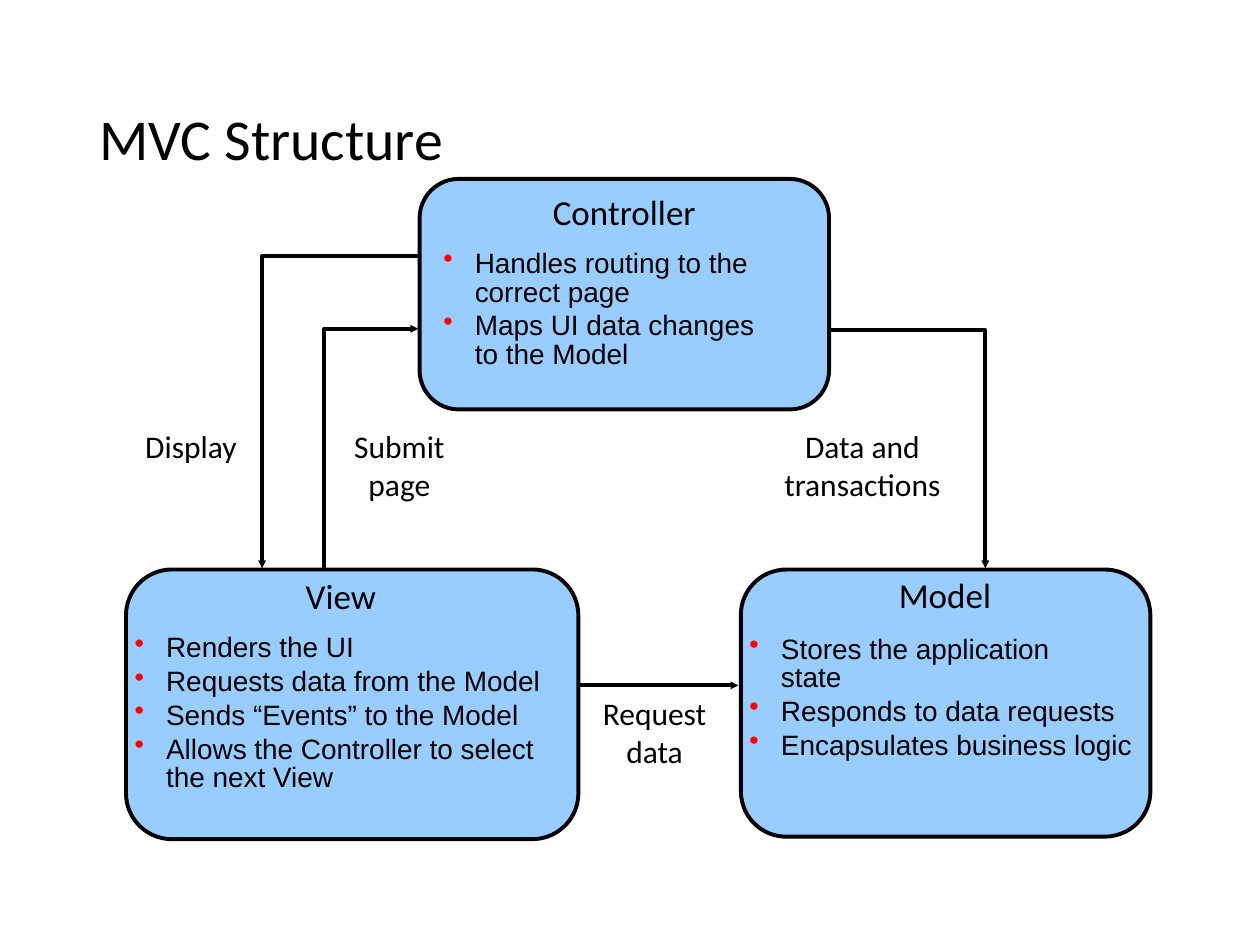
from pptx import Presentation
from pptx.dml.color import RGBColor
from pptx.enum.shapes import MSO_CONNECTOR, MSO_SHAPE
from pptx.enum.text import MSO_ANCHOR, PP_ALIGN
from pptx.oxml.ns import qn
from pptx.util import Inches, Pt
from lxml.etree import SubElement

BLACK, BLUE, RED = "000000", "99CCFF", "FF0000"

deck = Presentation()
deck.slide_width, deck.slide_height = Inches(10), Inches(7.5)
slide = deck.slides.add_slide(deck.slide_layouts[6])
shapes = slide.shapes


def paint(format, color):
    """Give a fill or a font one solid colour."""
    if hasattr(format, "solid"):
        format.solid()
        format.fore_color.rgb = RGBColor.from_string(color)
    else:
        format.color.rgb = RGBColor.from_string(color)


def write(area, lines, size, font="Calibri", align=PP_ALIGN.CENTER, bullet=False, wrap=True):
    """Add a text box with one paragraph for each line."""
    frame = shapes.add_textbox(*map(Inches, area)).text_frame
    frame.word_wrap = wrap
    frame.text = "\n".join(lines)
    for i, para in enumerate(frame.paragraphs):
        para.alignment = align
        if bullet:
            props = para._p.get_or_add_pPr()
            props.set("marL", str(Inches(0.25)))
            props.set("indent", str(Inches(-0.25)))
            para.line_spacing = 0.85
            para.space_before = Pt(3 if i else 0)
            tint = SubElement(props, qn("a:buClr"))
            SubElement(tint, qn("a:srgbClr"), val=RED)
            SubElement(props, qn("a:buChar"), char="•")
        for run in para.runs:
            run.font.size, run.font.name = Pt(size), font
            paint(run.font, BLACK)
    return frame


title = write((0.69, 0.4, 8.62, 1.45), ["MVC Structure"], 33, align=PP_ALIGN.LEFT)
title.vertical_anchor = MSO_ANCHOR.MIDDLE
title.paragraphs[0].line_spacing = 0.9

# Arrows between the parts, each ending at its head
routes = [
    [(4.43, 5.44), (5.86, 5.44)],
    [(2.57, 4.58), (2.57, 2.61), (3.32, 2.61)],
    [(3.32, 2.03), (2.08, 2.03), (2.08, 4.51)],
    [(6.58, 2.62), (7.82, 2.62), (7.82, 4.51)],
]
for route in routes:
    points = [(Inches(x), Inches(y)) for x, y in route]
    if len(points) == 2:
        arrow = shapes.add_connector(MSO_CONNECTOR.STRAIGHT, *points[0], *points[1])
    else:
        path = shapes.build_freeform(*points[0])
        path.add_line_segments(points[1:], close=False)
        arrow = path.convert_to_shape()
        arrow.fill.background()
    paint(arrow.line.fill, BLACK)
    arrow.line.width = Pt(2.25)
    props = arrow.element.spPr
    SubElement(props.find(qn("a:ln")), qn("a:tailEnd"), type="triangle", w="sm", len="sm")
    SubElement(props, qn("a:effectLst"))

# Parts: name, box, heading area, list area, list items
parts = [
    ("Model", (5.88, 4.52, 3.25, 2.12), (7, 4.5, 1, 0.43), (5.85, 5, 3.36, 1.32),
     ["Stores the application \vstate", "Responds to data requests",
      "Encapsulates business logic"]),
    ("View", (1, 4.52, 3.59, 2.14), (2.29, 4.51, 0.83, 0.43), (0.97, 4.99, 3.59, 1.59),
     ["Renders the UI", "Requests data from the Model", "Sends “Events” to the Model",
      "Allows the Controller to select the next View"]),
    ("Controller", (3.33, 1.42, 3.25, 1.83), (4.19, 1.46, 1.53, 0.43), (3.42, 1.94, 3.17, 1.05),
     ["Handles routing to the correct page", "Maps UI data changes \vto the Model"]),
]
for name, area, head, body, items in parts:
    box = shapes.add_shape(MSO_SHAPE.ROUNDED_RECTANGLE, *map(Inches, area))
    box.adjustments[0] = 0.17
    box.shadow.inherit = False
    paint(box.fill, BLUE)
    paint(box.line.fill, BLACK)
    box.line.width = Pt(2.25)
    write(head, [name], 20, wrap=False)
    write(body, items, 16, "Arial", PP_ALIGN.LEFT, bullet=True)

labels = [
    ("Display", (0.97, 3.34, 1.09, 0.4)),
    ("Submit page", (2.59, 3.34, 1.16, 0.7)),
    ("Request data", (4.6, 5.46, 1.19, 0.7)),
    ("Data and transactions", (5.93, 3.34, 1.83, 0.7)),
]
for label, area in labels:
    write(area, [label], 18)

deck.save("out.pptx")
